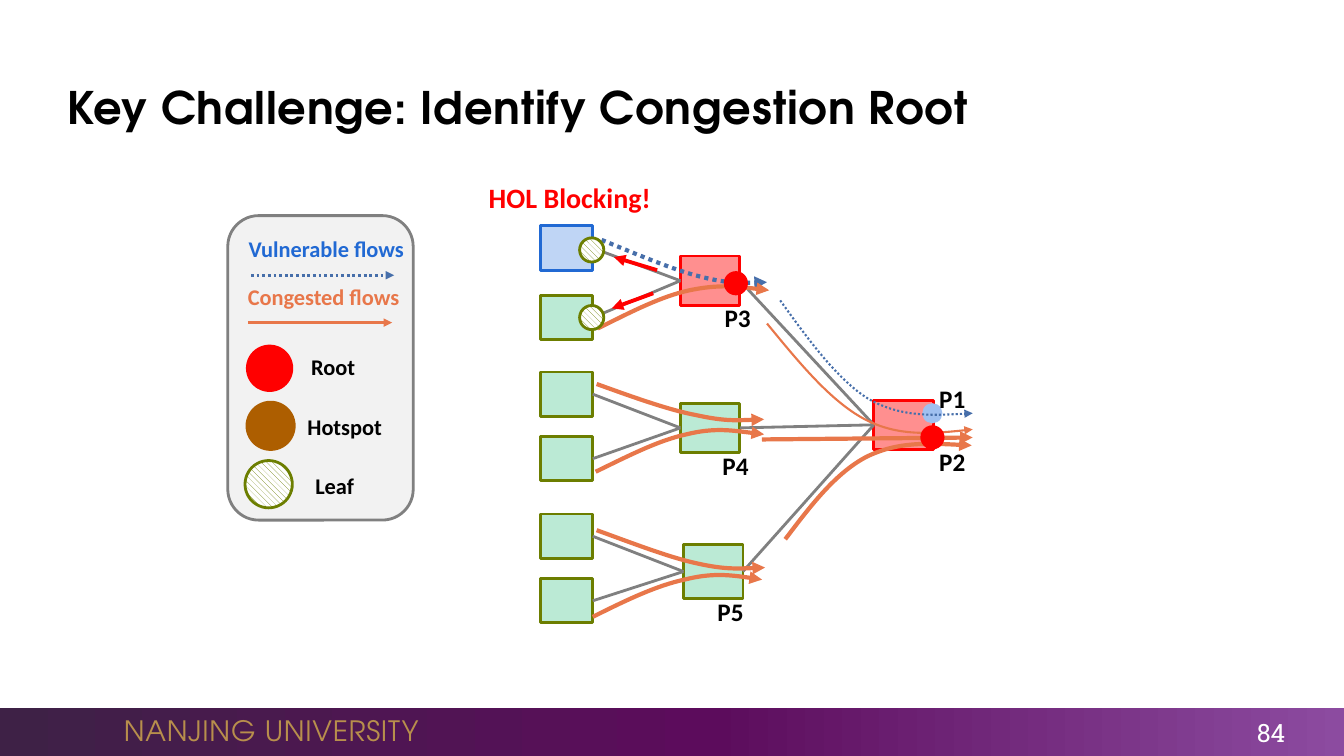
from copy import deepcopy
from dataclasses import dataclass

from lxml.etree import SubElement
from pptx import Presentation
from pptx.dml.color import RGBColor
from pptx.enum.dml import MSO_PATTERN
from pptx.enum.shapes import MSO_CONNECTOR, MSO_SHAPE
from pptx.enum.text import MSO_ANCHOR, PP_ALIGN
from pptx.oxml.ns import qn
from pptx.util import Pt


@dataclass(frozen=True)
class Theme:
    black: str = "000000"
    white: str = "FFFFFF"
    gray: str = "808080"
    panel: str = "F2F2F2"
    red: str = "FF0000"
    pink: str = "FF8F8F"
    green: str = "BBEAD5"
    olive: str = "6C7E00"
    brown: str = "AD5E00"
    pale_blue: str = "BFD5F5"
    sky: str = "A0C0F0"
    blue: str = "2169D3"
    vulnerable: str = "476FAA"
    congested: str = "E8774A"
    gold: str = "B88F4C"
    footer_stops: tuple = ((0, "3E2146"), (0.53, "5C0C5C"), (1, "8C4BA0"))
    heading_font: str = "TeX Gyre Adventor"
    number_font: str = "Roboto Slab"
    label_font: str = "Calibri"
    title_size: int = 32
    callout_size: int = 20
    port_size: int = 18
    legend_size: int = 16


theme = Theme()
presentation = Presentation()
presentation.slide_width, presentation.slide_height = Pt(960), Pt(540)
slide = presentation.slides.add_slide(presentation.slide_layouts[6])


def add_filled_shape(kind, box, fill, outline=None, pattern=None):
    shape = slide.shapes.add_shape(kind, *map(Pt, box))
    shape.shadow.inherit = False
    if pattern is None:
        shape.fill.solid()
    else:
        shape.fill.patterned()
        shape.fill.pattern = pattern
        shape.fill.back_color.rgb = RGBColor.from_string(theme.white)
        shape.rotation = 90
    shape.fill.fore_color.rgb = RGBColor.from_string(fill)
    if outline:
        shape.line.color.rgb = RGBColor.from_string(outline)
        shape.line.width = Pt(2)
    else:
        shape.line.fill.background()
    return shape


def add_text(text, box, size, colour, font=theme.label_font, bold=True,
             align=PP_ALIGN.LEFT, anchor=MSO_ANCHOR.TOP, wrap=True, spacing=None):
    frame = slide.shapes.add_textbox(*map(Pt, box)).text_frame
    frame.word_wrap = wrap
    frame.vertical_anchor = anchor
    paragraph = frame.paragraphs[0]
    paragraph.alignment = align
    run = paragraph.add_run()
    run.text = text
    for name, value in {"name": font, "size": Pt(size), "bold": bold}.items():
        setattr(run.font, name, value)
    run.font.color.rgb = RGBColor.from_string(colour)
    if spacing:
        run.font._element.set("spc", str(spacing))


# Footer band with a three-colour gradient
footer = add_filled_shape(MSO_SHAPE.RECTANGLE, (0, 505.5, 960, 34.5), theme.white)
footer.fill.gradient()
stop_list = footer.element.spPr.find(qn("a:gradFill")).find(qn("a:gsLst"))
stop_list.append(deepcopy(stop_list[-1]))
for stop, (position, colour) in zip(footer.fill.gradient_stops, theme.footer_stops):
    stop.position = position
    stop.color.rgb = RGBColor.from_string(colour)
footer.fill.gradient_angle = 0

# Switches and hosts
switches = {}
for name, left, top, height, fill, outline in (
    ("core", 624.2, 285.8, 35.3, theme.pink, theme.red),
    ("P3", 486, 182.9, 35.3, theme.pink, theme.red),
    ("P4", 486, 288, 35.3, theme.green, theme.olive),
    ("P5", 488.2, 388.8, 38.9, theme.green, theme.olive),
):
    switches[name] = add_filled_shape(
        MSO_SHAPE.RECTANGLE, (left, top, 42.5, height), fill, outline)

hosts = []
for top in (161.3, 211, 265.7, 311.8, 367.2, 413.3):
    fill, outline = (theme.green, theme.olive) if hosts else (theme.pale_blue, theme.blue)
    hosts.append(add_filled_shape(
        MSO_SHAPE.RECTANGLE, (386, top, 37.4, 31.7), fill, outline))

# Legend panel and the idle port behind the flows
add_filled_shape(MSO_SHAPE.ROUNDED_RECTANGLE, (162.7, 154, 132.5, 217.5),
                 theme.panel, theme.gray)
add_filled_shape(MSO_SHAPE.OVAL, (658.8, 288, 14.4, 14.4), theme.sky)

# Links: right side of each sender to left side of its receiver
strokes = []
edge_switches = [switches[name] for name in ("P3", "P4", "P5")]
links = [(switch, switches["core"]) for switch in edge_switches]
links += [(host, edge_switches[index // 2]) for index, host in enumerate(hosts)]
for sender, receiver in links:
    link = slide.shapes.add_connector(MSO_CONNECTOR.STRAIGHT, 0, 0, 0, 0)
    link.begin_connect(sender, 3)
    link.end_connect(receiver, 1)
    strokes.append((link, theme.gray, 2))

# Flows: two points make a straight arrow, seven make two Bézier segments
flows = (
    (theme.vulnerable, 1.5, ((557.3, 214.6), (577.4, 242.6), (598.3, 271.4), (620.6, 285.1),
                             (643.7, 298.1), (668.9, 296.6), (694.8, 295.2))),
    (theme.congested, 1.5, ((547.9, 231.1), (571, 259.2), (593.3, 286.6), (617.8, 299.5),
                            (641.5, 311.8), (668.2, 309.6), (694.8, 306.7))),
    (theme.congested, 3, ((544.3, 313.9), (694.8, 312.5))),
    (theme.congested, 3, ((560.9, 385.2), (578.9, 361.4), (596.9, 337.7), (619.2, 326.2),
                          (641.5, 315.4), (667.4, 316.8), (694.1, 318.2))),
    (theme.vulnerable, 3, ((429.8, 171.4), (454.3, 181.4), (479.5, 192.2), (499, 197.3),
                           (518.4, 202.3), (532.8, 202.3), (547.9, 201.6))),
    (theme.congested, 3, ((427, 234.7), (450, 223.2), (472.3, 211.7), (492.5, 207.4),
                          (513.4, 203), (531.4, 205.2), (549.4, 207.4))),
    (theme.congested, 3, ((426.2, 274.3), (452.2, 283.7), (478.1, 293), (497.5, 296.6),
                          (517.7, 301), (532.1, 300.2), (545.8, 299.5))),
    (theme.congested, 3, ((425.5, 337), (447.8, 326.2), (470.2, 314.6), (490.3, 310.3),
                          (510.5, 305.3), (528.5, 308.2), (545.8, 310.3))),
    (theme.congested, 3, ((426.2, 378.7), (452.2, 388.1), (478.1, 398.2), (498.2, 402.5),
                          (517.7, 406.8), (532.1, 406.1), (546.5, 405.4))),
    (theme.congested, 3, ((423.4, 440.6), (446.4, 429.1), (468.7, 418.3), (488.9, 414),
                          (509, 409), (526.3, 411.1), (544.3, 414))),
    (theme.vulnerable, 2, ((179.3, 196.6), (281.5, 196.6))),
    (theme.congested, 2, ((177.1, 230.4), (280.1, 230.4))),
    (theme.red, 2.75, ((466.6, 209.5), (437, 220.3))),
    (theme.red, 2.75, ((469.4, 193), (438.5, 183.6))),
)
for colour, width, points in flows:
    points = [(Pt(x), Pt(y)) for x, y in points]
    if len(points) == 2:
        flow = slide.shapes.add_connector(MSO_CONNECTOR.STRAIGHT, *points[0], *points[1])
    else:
        builder = slide.shapes.build_freeform(*points[0])
        builder.add_line_segments(points[1:], close=False)
        flow = builder.convert_to_shape()
        flow.fill.background()
        outline = next(flow.element.iter(qn("a:path")))
        segments = outline.findall(qn("a:lnTo"))
        for start in range(0, len(segments), 3):
            curve = SubElement(outline, qn("a:cubicBezTo"))
            for segment in segments[start:start + 3]:
                curve.append(segment[0])
                outline.remove(segment)
    strokes.append((flow, colour, width))

# Stroke colours, dots and arrowheads
for stroke, colour, width in strokes:
    stroke.line.color.rgb = RGBColor.from_string(colour)
    stroke.line.width = Pt(width)
    properties = stroke.element.spPr
    line = properties.find(qn("a:ln"))
    if colour == theme.vulnerable:
        SubElement(line, qn("a:prstDash"), val="sysDot")
    if colour != theme.gray:
        SubElement(line, qn("a:tailEnd"), type="triangle")
    SubElement(properties, qn("a:effectLst"))

# Root, hotspot and leaf markers
leaf = (theme.olive, theme.olive, MSO_PATTERN.WIDE_DOWNWARD_DIAGONAL)
hotspot = (theme.brown, theme.brown, MSO_PATTERN.DARK_VERTICAL)
for left, top, size, style in (
    (175.7, 246.2, 33.8, (theme.red,)), (176.4, 287.3, 33.8, hotspot),
    (175, 329, 33.8, leaf), (517, 193.7, 17.3, (theme.red,)),
    (657.4, 303.8, 17.3, (theme.red,)), (414, 169.9, 17.3, leaf), (414, 218.2, 17.3, leaf),
):
    add_filled_shape(MSO_SHAPE.OVAL, (left, top, size, size), *style)

# Port and legend labels
for text, left, top in (("P3", 510.5, 212.4), ("P4", 509, 318.2), ("P1", 663.8, 270),
                        ("P2", 663.8, 315.4), ("P5", 505.4, 422.6)):
    add_text(text, (left, top, 64, 29), theme.port_size, theme.black)
for text, left, top, width, colour, align in (
    ("Vulnerable flows", 170.6, 164.2, 126.7, theme.blue, PP_ALIGN.LEFT),
    ("Congested flows", 169.9, 198.7, 126.7, theme.congested, PP_ALIGN.LEFT),
    ("Root", 186.5, 248.4, 103, theme.black, PP_ALIGN.CENTER),
    ("Hotspot", 186.5, 291.6, 119.5, theme.black, PP_ALIGN.CENTER),
    ("Leaf", 179.3, 333.4, 119.5, theme.black, PP_ALIGN.CENTER),
):
    add_text(text, (left, top, width, 26.6), theme.legend_size, colour, align=align)

# Title, callout, footer name and slide number
add_text("Key Challenge: Identify Congestion Root", (41, 48.2, 864, 55.4), theme.title_size,
         theme.black, theme.heading_font, anchor=MSO_ANCHOR.MIDDLE, spacing=50)
add_text("HOL Blocking!", (342, 125.3, 131, 31.7), theme.callout_size, theme.red, wrap=False)
add_text("NANJING UNIVERSITY", (81.4, 505.5, 228.2, 31.7), theme.callout_size, theme.gold,
         theme.heading_font, False, anchor=MSO_ANCHOR.MIDDLE, wrap=False, spacing=50)
add_text("84", (848.9, 510.5, 76.3, 25.2), theme.port_size, theme.white, theme.number_font,
         False, PP_ALIGN.RIGHT, MSO_ANCHOR.MIDDLE)

presentation.save("out.pptx")
